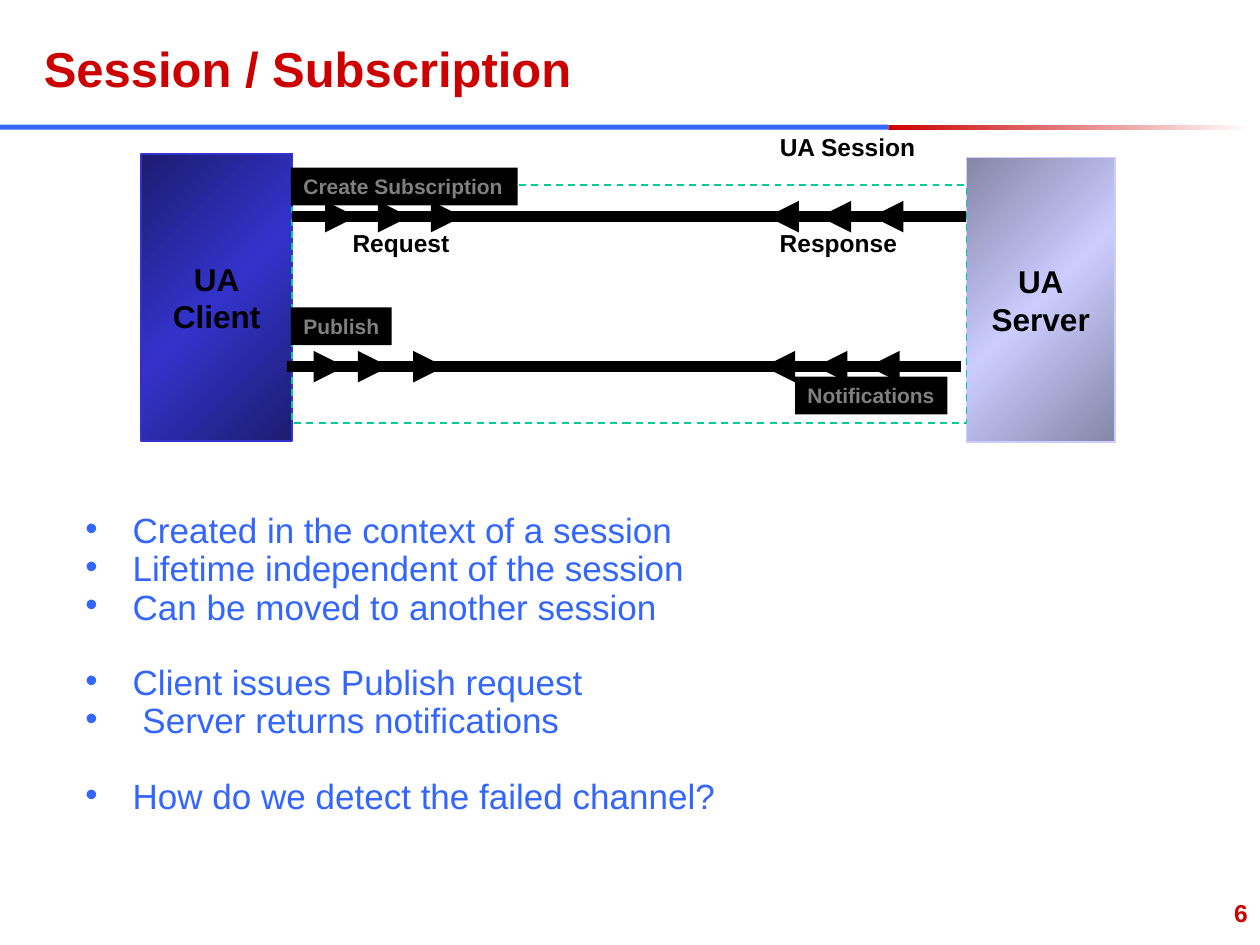
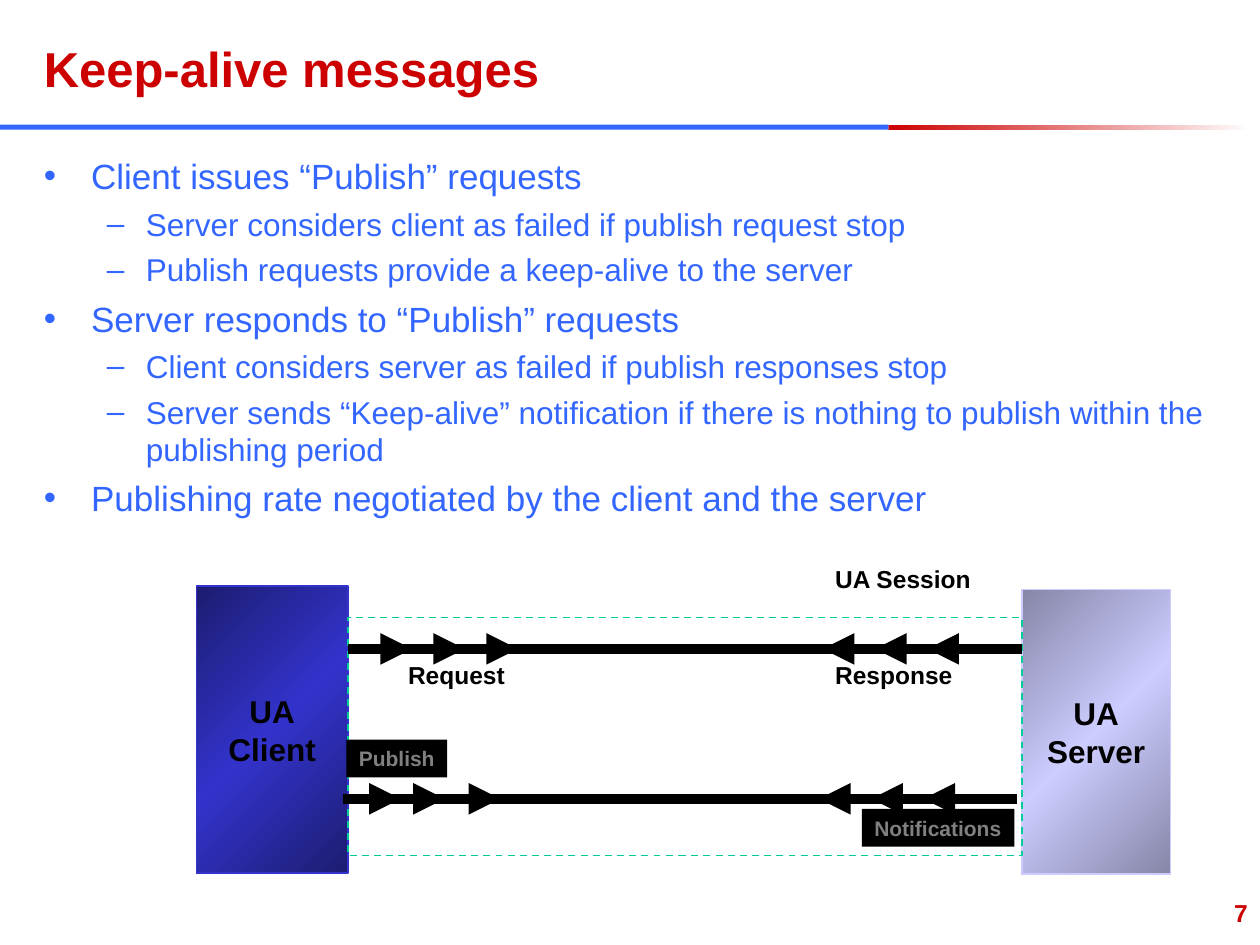
from lxml import etree
from pptx import Presentation
from pptx import util as u
from pptx.dml.color import RGBColor
from pptx.enum import dml, shapes, text
from pptx.oxml.ns import qn

RED = RGBColor(0xCC, 0x00, 0x00)
BLUE = RGBColor(0x33, 0x66, 0xFF)
WHITE = RGBColor(0xFF, 0xFF, 0xFF)
BLACK = RGBColor(0x00, 0x00, 0x00)
GREY = RGBColor(0x80, 0x80, 0x80)
TEAL = RGBColor(0x00, 0xCC, 0x99)
NAVY = RGBColor(0x1C, 0x1C, 0x71)
INDIGO = RGBColor(0x33, 0x33, 0xCC)
SLATE = RGBColor(0x86, 0x86, 0xA8)
LAVENDER = RGBColor(0xCC, 0xCC, 0xFF)

FONT = "Arial"
LEFT, CENTER, RIGHT = text.PP_ALIGN.LEFT, text.PP_ALIGN.CENTER, text.PP_ALIGN.RIGHT
TOP, MIDDLE = text.MSO_ANCHOR.TOP, text.MSO_ANCHOR.MIDDLE

presentation = Presentation()
presentation.slide_width = u.Inches(10)
presentation.slide_height = u.Inches(7.5)
COLUMN = presentation.slide_width / 100
ROW = presentation.slide_height / 75


def add_box(slide, frame, fill=None, line=None, angle=0, words="", size=14,
            color=BLACK, align=LEFT, anchor=TOP, wrap=False, grow=False):
    """Frame is left, top, width, height in grid units; a list as fill is a gradient."""
    left, top, width, height = frame
    place = [int(v) for v in (left * COLUMN, top * ROW, width * COLUMN, height * ROW)]
    if fill is None and line is None:
        shape = slide.shapes.add_textbox(*place)
    else:
        shape = slide.shapes.add_shape(shapes.MSO_SHAPE.RECTANGLE, *place)
        shape.shadow.inherit = False
        if isinstance(fill, list):
            shape.fill.gradient()
            shape.fill.gradient_angle = angle
            stops = shape._element.spPr.find(".//" + qn("a:gsLst"))
            stops.clear()
            for index, stop_color in enumerate(fill):
                position = 100000 * index // (len(fill) - 1)
                stop = etree.SubElement(stops, qn("a:gs"), pos=str(position))
                etree.SubElement(stop, qn("a:srgbClr"), val=str(stop_color))
        elif fill is None:
            shape.fill.background()
        else:
            shape.fill.solid()
            shape.fill.fore_color.rgb = fill
        if line is None:
            shape.line.fill.background()
        else:
            shape.line.color.rgb = line
            shape.line.width = u.Pt(1)
    frame_text = shape.text_frame
    frame_text.word_wrap = wrap
    frame_text.vertical_anchor = anchor
    if grow:
        frame_text.auto_size = text.MSO_AUTO_SIZE.SHAPE_TO_FIT_TEXT
    if words:
        paragraph = frame_text.paragraphs[0]
        paragraph.alignment = align
        for index, part in enumerate(words.split("\n")):
            if index:
                paragraph.add_line_break()
            run = paragraph.add_run()
            run.text = part
            run.font.name, run.font.size, run.font.bold = FONT, u.Pt(size), True
            run.font.color.rgb = color
    return shape


def add_channel_line(slide, start, end, y, arrow=False):
    connector = slide.shapes.add_connector(
        shapes.MSO_CONNECTOR.STRAIGHT,
        int(start * COLUMN), int(y * ROW), int(end * COLUMN), int(y * ROW))
    connector.line.color.rgb = BLACK
    connector.line.width = u.Pt(6)
    if arrow:
        etree.SubElement(connector.line._get_or_add_ln(), qn("a:tailEnd"), type="triangle")
    etree.SubElement(connector._element.spPr, qn("a:effectLst"))


# Bullet level: mark, size, space before, left margin, hanging indent (grid columns)
LEVELS = [("•", 20, 5, 3.75, 3.75), ("–", 18, 4.5, 8.1, 3.1)]
GROUP_GAP = 26.5

# Each bullet: level, words, starts a new group
SLIDES = [
    dict(title="Session / Subscription", number="6", body=(5.8, 40.8, 91.7, 27.4),
         spacing=0.7, shift=(0, 0), notifications=63.1, creates=True, bullets=[
             (0, "Created in the context of a session", False),
             (0, "Lifetime independent of the session", False),
             (0, "Can be moved to another session", False),
             (0, "Client issues Publish request", True),
             (0, " Server returns notifications", False),
             (0, "How do we detect the failed channel?", True)]),
    dict(title="Keep-alive messages", number="7", body=(2.5, 11.8, 95, 57.5),
         spacing=1.0, shift=(4.4, 34.3), notifications=64, creates=False, bullets=[
             (0, "Client issues “Publish” requests", False),
             (1, "Server considers client as failed if publish request stop", False),
             (1, "Publish requests provide a keep-alive to the server", False),
             (0, "Server responds to “Publish” requests", False),
             (1, "Client considers server as failed if publish responses stop", False),
             (1, "Server sends “Keep-alive” notification if there is nothing to "
                 "publish within the publishing period", False),
             (0, "Publishing rate negotiated by the client and the server", False)]),
]

NODES = [("UA\nClient", (11.2, 12.2, 12, 22.8), NAVY, INDIGO),
         ("UA\nServer", (76.7, 12.5, 11.8, 22.6), SLATE, LAVENDER)]

# Channel: left end, height, request arrows (start, end), first response arrow tail
CHANNELS = [(23.2, 17.2, [(25, 28.3), (29.1, 32.5), (33.3, 36.7)], 64.2),
            (22.8, 29.1, [(23.9, 27.4), (26.9, 30.9), (32.7, 35.3)], 63.9)]
SEGMENTS = [(0, 23.5), (28.5, 53.5), (23.5, 28.5)]
RESPONSE_PITCH, RESPONSE_LENGTH = 4.15, 3.3

LABELS = [("Request", (27, 17.6, 9.7, 3.4)),
          ("Response", (60.9, 17.6, 11.3, 3.4)),
          ("UA Session", (60.9, 10, 12.8, 3.4))]

for content in SLIDES:
    slide = presentation.slides.add_slide(presentation.slide_layouts[6])

    # Divider, title, slide number
    add_box(slide, (70.5, 9.9, 28.8, 0.4), [RED, WHITE])
    add_box(slide, (0, 9.9, 70.5, 0.4), BLUE)
    add_box(slide, (2.5, 2.5, 68.3, 5.8), words=content["title"], size=28, color=RED,
            anchor=MIDDLE, wrap=True)
    add_box(slide, (79.2, 70.8, 20.8, 4.2), words=content["number"], color=RED,
            align=RIGHT, wrap=True)

    # Bullets
    body = add_box(slide, content["body"], wrap=True).text_frame
    for index, (level, words, new_group) in enumerate(content["bullets"]):
        mark, size, space, margin, hanging = LEVELS[level]
        paragraph = body.add_paragraph() if index else body.paragraphs[0]
        paragraph.level = level
        paragraph.line_spacing = content["spacing"]
        paragraph.space_before = u.Pt(GROUP_GAP if new_group else space)
        properties = paragraph._p.get_or_add_pPr()
        properties.set("marL", str(int(margin * COLUMN)))
        properties.set("indent", str(int(-hanging * COLUMN)))
        bullet_color = etree.SubElement(properties, qn("a:buClr"))
        etree.SubElement(bullet_color, qn("a:srgbClr"), val=str(BLUE))
        etree.SubElement(properties, qn("a:buFont"), typeface=FONT)
        etree.SubElement(properties, qn("a:buChar"), char=mark)
        run = paragraph.add_run()
        run.text = words
        run.font.name, run.font.size = FONT, u.Pt(size)
        run.font.color.rgb = BLUE

    # Client and server
    dx, dy = content["shift"]
    for words, (left, top, width, height), dark, light in NODES:
        add_box(slide, (left + dx, top + dy, width, height), [dark, light, dark], light,
                angle=315, words=words, size=18, align=CENTER, anchor=MIDDLE)

    # Session frame behind the channels
    session = add_box(slide, (23.2 + dx, 14.7 + dy, 53.5, 18.9), line=TEAL)
    session.line.dash_style = dml.MSO_LINE.DASH

    # Channels with request and response arrows
    for left, y, requests, response in CHANNELS:
        for start, end in SEGMENTS:
            add_channel_line(slide, left + start + dx, left + end + dx, y + dy)
        for start, end in requests:
            add_channel_line(slide, start + dx, end + dx, y + dy, arrow=True)
        for step in range(3):
            tail = response + step * RESPONSE_PITCH + dx
            add_channel_line(slide, tail, tail - RESPONSE_LENGTH, y + dy, arrow=True)

    # Labels and message tags
    for words, (left, top, width, height) in LABELS:
        add_box(slide, (left + dx, top + dy, width, height), words=words, grow=True)

    tags = [("Notifications", content["notifications"], 29.9, 12.1),
            ("Publish", 23.1, 24.4, 8)]
    if content["creates"]:
        tags.append(("Create Subscription", 23.1, 13.3, 18))
    for words, left, top, width in tags:
        add_box(slide, (left + dx, top + dy, width, 3), BLACK, words=words, size=12,
                color=GREY)

presentation.save("out.pptx")
